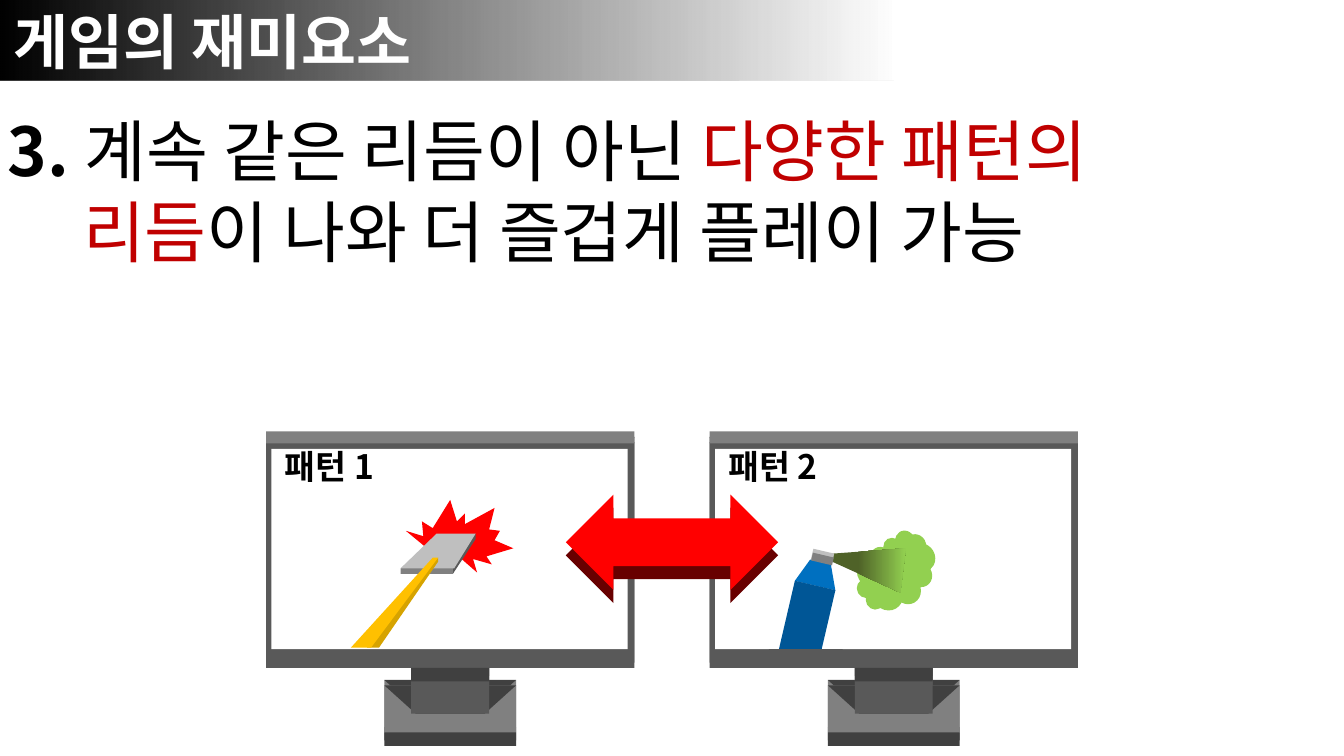
from lxml import etree
from pptx import Presentation
from pptx.dml.color import RGBColor
from pptx.enum.shapes import MSO_SHAPE
from pptx.enum.text import MSO_ANCHOR, PP_ALIGN
from pptx.oxml.ns import qn
from pptx.util import Pt

PX = 9144  # 100 px to the inch
FONT = "Noto Sans CJK KR"
RECT = MSO_SHAPE.RECTANGLE
TRAPEZOID = MSO_SHAPE.TRAPEZOID
CLOUD = MSO_SHAPE.CLOUD
ARROW = MSO_SHAPE.LEFT_RIGHT_ARROW
TOP, MIDDLE = MSO_ANCHOR.TOP, MSO_ANCHOR.MIDDLE
LEFT = PP_ALIGN.LEFT

BLACK = RGBColor(0x00, 0x00, 0x00)
WHITE = RGBColor(0xFF, 0xFF, 0xFF)
DARK = RGBColor(0x40, 0x40, 0x40)
FRAME = RGBColor(0x59, 0x59, 0x59)
GRAY = RGBColor(0x80, 0x80, 0x80)
SILVER = RGBColor(0xBF, 0xBF, 0xBF)
CRIMSON = RGBColor(0xC0, 0x00, 0x00)
RED = RGBColor(0xFF, 0x00, 0x00)
SHADOW = RGBColor(0x68, 0x00, 0x00)
GOLD = RGBColor(0xFF, 0xC0, 0x00)
OCHRE = RGBColor(0xD6, 0xA3, 0x00)
GREEN = RGBColor(0x92, 0xD0, 0x50)
OLIVE = RGBColor(0x4F, 0x62, 0x28)
BLUE = RGBColor(0x00, 0x70, 0xC0)
NAVY = RGBColor(0x00, 0x56, 0x96)

prs = Presentation()
prs.slide_width = 1000 * PX
prs.slide_height = prs.slide_width * 9 // 16
slide = prs.slides.add_slide(prs.slide_layouts[6])
shapes = slide.shapes


def add(outline, color, *box):
    """Add a plain filled shape: a preset with its box, or a list of points."""
    if isinstance(outline, list):
        builder = shapes.build_freeform(*outline[0], scale=PX)
        builder.add_line_segments(outline[1:])
        sp = builder.convert_to_shape()
    else:
        sp = shapes.add_shape(outline, *(v * PX for v in box))
    sp.shadow.inherit = False
    sp.fill.solid()
    sp.fill.fore_color.rgb = color
    sp.line.fill.background()
    return sp


def set_gradient(sp, stops):
    """Fill from left to right with (position %, color, opacity %) stops."""
    sp.fill.gradient()
    sp.fill.gradient_angle = 0
    gs_list = sp._element.spPr.find(".//" + qn("a:gsLst"))
    for gs in list(gs_list):
        gs_list.remove(gs)
    for pos, color, opacity in stops:
        gs = etree.SubElement(gs_list, qn("a:gs"), pos=str(pos * 1000))
        clr = etree.SubElement(gs, qn("a:srgbClr"), val=str(color))
        etree.SubElement(clr, qn("a:alpha"), val=str(opacity * 1000))


texts = []  # (run, size, color, bold)

# Title band
sp = add(RECT, BLACK, 0, 0, 665, 60)
set_gradient(sp, [(0, BLACK, 100), (48, BLACK, 50), (100, BLACK, 0)])
tf = sp.text_frame
tf.text = "게임의 재미요소"
tf.vertical_anchor = MIDDLE
tf.margin_top = tf.margin_bottom = 0
tf.paragraphs[0].alignment = LEFT
texts.append((tf.paragraphs[0].runs[0], 32, WHITE, True))

# Statement
tf = shapes.add_textbox(-4 * PX, 77 * PX, 926 * PX, 131 * PX).text_frame
tf.word_wrap = True
tf.margin_top = 5 * PX
lines = [
    [("3. ", BLACK, True), ("계속 같은 리듬이 아닌 ", BLACK, False), ("다양한 패턴의", CRIMSON, False)],
    [("리듬", CRIMSON, False), ("이 나와 더 즐겁게 플레이 가능", BLACK, False)],
]
for i, line in enumerate(lines):
    p = tf.add_paragraph() if i else tf.paragraphs[0]
    p.line_spacing = Pt(43)
    for text, color, bold in line:
        r = p.add_run()
        r.text = text
        texts.append((r, 36, color, bold))
p._p.get_or_add_pPr().set("marL", str(56 * PX))

# Monitors: a back layer and, slightly lower, a front layer with the screen
for y, labels in [(325, (None, None)), (329, ("패턴 1", "패턴 2"))]:
    for x, label in zip((198, 528), labels):
        add(RECT, DARK, x + 88, y + 216, 98, 10)
        add(RECT, GRAY, x + 88, y + 181, 98, 35)
        sp = add(TRAPEZOID, DARK, x + 88, y + 181, 98, 21)
        sp.adjustments[0] = 1.11
        sp._element.spPr.xfrm.set("flipV", "1")
        add(RECT, FRAME, x + 108, y + 108, 58, 94)
        add(RECT, FRAME, x, y, 274, 168)
        if label:
            tf = add(RECT, WHITE, x + 4, y + 5, 265, 149).text_frame
            tf.text = label
            tf.vertical_anchor = TOP
            tf.margin_top = 0
            p = tf.paragraphs[0]
            p.alignment = LEFT
            p.line_spacing = Pt(20)
            texts.append((p.runs[0], 18, BLACK, True))
        add(RECT, DARK, x + 108, y + 168, 58, 10)
        add(RECT, GRAY, x, y - 4, 274, 5)

# Swatter hitting on the first screen
swatter = [
    (RED, [(319, 409), (302, 395), (315, 399), (314, 388), (322, 393), (335, 372), (340, 388),
           (346, 382), (346, 390), (368, 378), (364, 394), (372, 395), (368, 402), (382, 408),
           (362, 414), (366, 420), (352, 416), (355, 426), (340, 413), (328, 418)]),
    (FRAME, [(354, 397), (354, 401), (337, 427), (327, 420), (340, 405)]),
    (GRAY, [(298, 423), (298, 427), (337, 427), (337, 421), (324, 412)]),
    (SILVER, [(298, 423), (338, 423), (354, 397), (325, 397)]),
    (OCHRE, [(326, 415), (326, 418), (282, 482), (273, 482), (302, 441)]),
    (GOLD, [(261, 482), (276, 482), (326, 415), (322, 415)]),
]
for color, points in swatter:
    add(points, color)

# Spray can on the second screen
add(CLOUD, GREEN, 635, 401, 64, 51).rotation = 329.9
sp = add([(617, 417), (670, 441), (674, 408), (606, 413)], OLIVE)
set_gradient(sp, [(0, OLIVE, 100), (48, OLIVE, 100), (100, GREEN, 100)])
can = [
    (RECT, SILVER, 604, 410, 16, 9),
    (TRAPEZOID, BLUE, 593, 418, 31, 18),
    (RECT, NAVY, 585, 435, 31, 53),
    (RECT, GRAY, 604, 413, 16, 6),
]
for part in can:
    sp = add(*part)
    sp.rotation = 13.1
    if part[0] == TRAPEZOID:
        sp.adjustments[0] = 0.42
add(RECT, FRAME, 572, 483, 55, 8)

# Arrow between the screens
sp = add(ARROW, RED, 421, 368, 158, 71)
effects = sp._element.spPr.find(qn("a:effectLst"))
shadow = etree.SubElement(effects, qn("a:outerShdw"), blurRad="0", dist=str(Pt(7)),
                          dir="5400000", algn="t", rotWithShape="0")
etree.SubElement(shadow, qn("a:srgbClr"), val=str(SHADOW))

for r, size, color, bold in texts:
    r.font.name = FONT
    r.font.size = Pt(size)
    r.font.bold = bold
    r.font.color.rgb = color
    etree.SubElement(r._r.get_or_add_rPr(), qn("a:ea"), typeface=FONT)

prs.save("out.pptx")
